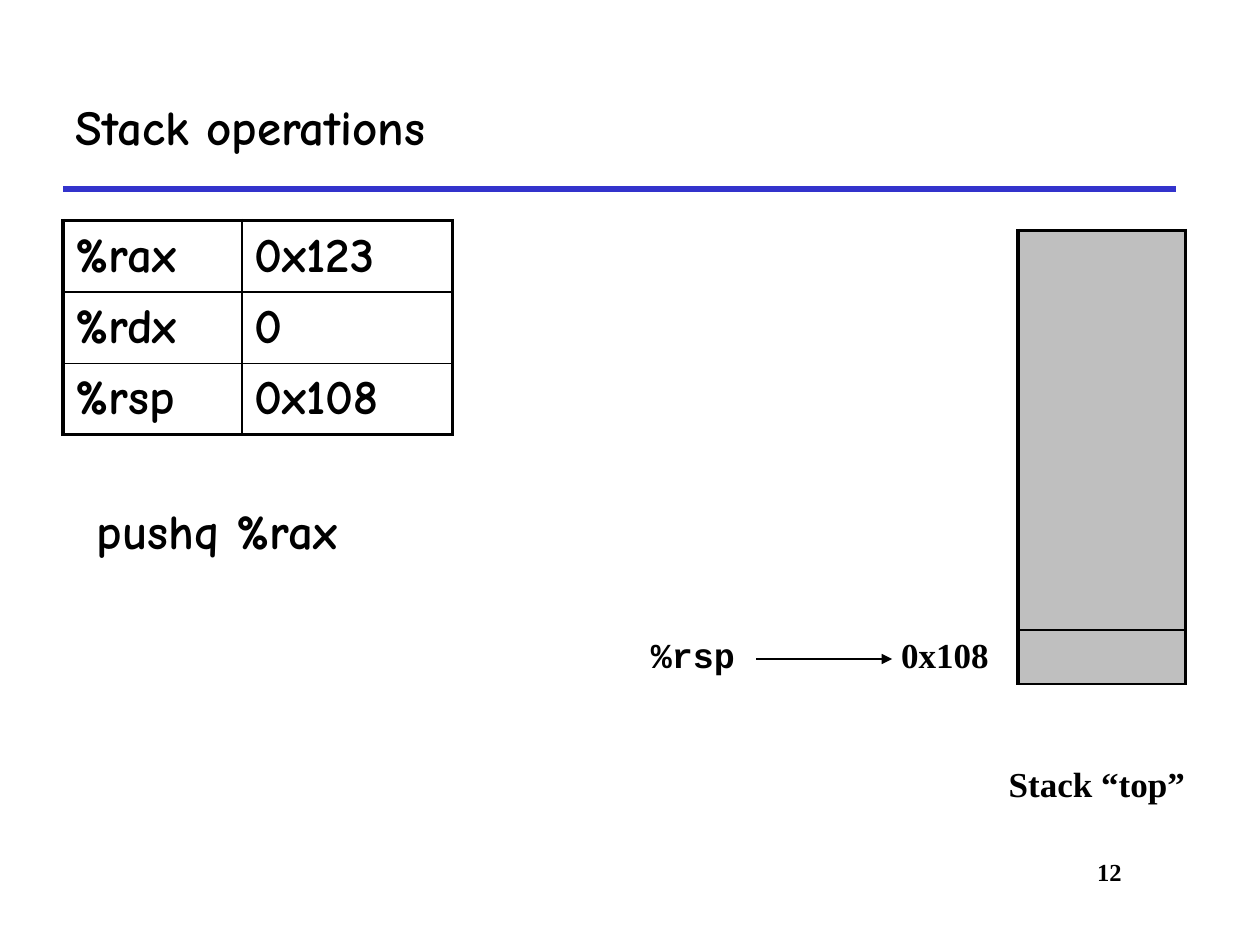
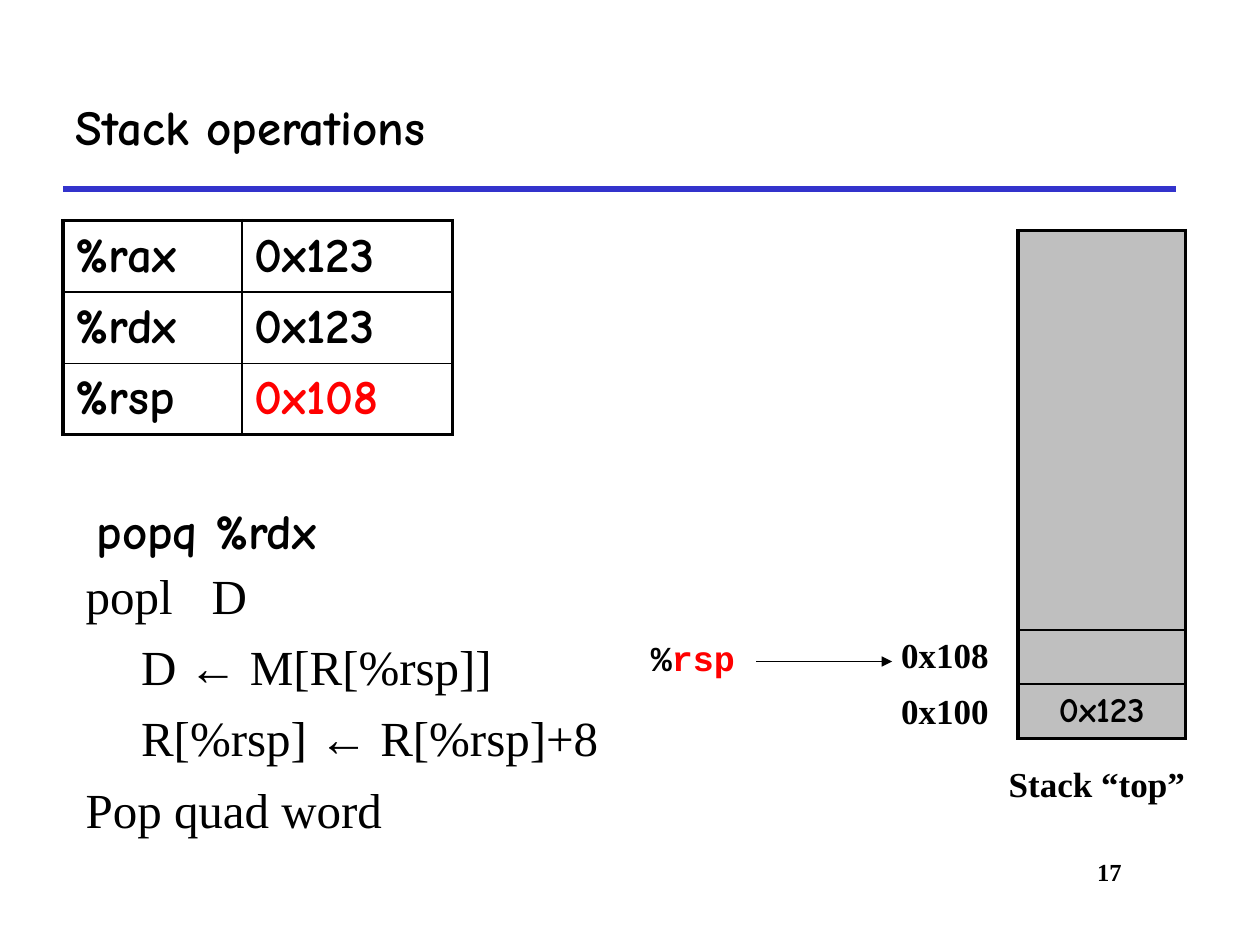
from dataclasses import dataclass

from lxml.etree import SubElement
from pptx import Presentation
from pptx.dml.color import RGBColor
from pptx.enum.shapes import MSO_CONNECTOR, MSO_SHAPE
from pptx.enum.text import MSO_ANCHOR, MSO_AUTO_SIZE, PP_ALIGN
from pptx.oxml.ns import qn
from pptx.util import Inches, Pt


@dataclass(frozen=True)
class Theme:
    ink: str = "000000"
    paper: str = "FFFFFF"
    rule: str = "3333CC"
    hot: str = "FF0000"
    stack: str = "808080"
    hand: str = "Comic Neue"
    serif: str = "Times New Roman"
    mono: str = "Courier New"
    large: int = 28
    label: int = 20
    small: int = 14
    thick: float = 2.25
    thin: float = 1


theme = Theme()


def write(frame, text, face, size, align=PP_ALIGN.LEFT, color=theme.ink, bold=True):
    """Put one styled paragraph into a text frame."""
    para = frame.paragraphs[0]
    para.text = text
    para.alignment = align
    para.space_before = Pt(0)
    font = para.font
    font.name, font.size, font.bold = face, Pt(size), bold
    font.color.rgb = RGBColor.from_string(color)
    return para


def frame_cells(table, foot):
    """Draw a thick frame with thin inner lines; foot is the bottom width."""
    table.first_row = table.horz_banding = False
    rows, cols = len(table.rows), len(table.columns)
    for r in range(rows):
        for c in range(cols):
            cell = table.cell(r, c)
            props = cell._tc.get_or_add_tcPr()
            edges = {
                "L": theme.thick if c == 0 else theme.thin,
                "R": theme.thick if c == cols - 1 else theme.thin,
                "T": theme.thick if r == 0 else theme.thin,
                "B": foot if r == rows - 1 else theme.thin,
            }
            for side, width in edges.items():
                line = SubElement(props, qn("a:ln" + side), w=str(Pt(width)))
                fill = SubElement(line, qn("a:solidFill"))
                SubElement(fill, qn("a:srgbClr"), val=theme.ink)
            cell.vertical_anchor = MSO_ANCHOR.MIDDLE
            cell.fill.background()


deck = Presentation()
deck.slide_width, deck.slide_height = Inches(10), Inches(7.5)

# What differs between the two slides
pages = [
    dict(num="12", code="pushq %rax", rdx="0", hot=theme.ink, steps=[],
         stack=["", ""], foot=theme.thin, y=4.98),
    dict(num="17", code="popq %rdx", rdx="0x123", hot=theme.hot,
         steps=[(0, "popl\tD"), (1, "D ← M[R[%rsp]]"),
                (1, "R[%rsp] ← R[%rsp]+8"), (0, "Pop quad word")],
         stack=["", "", "0x123"], foot=theme.thick, y=5),
]

for page in pages:
    layout = deck.slide_layouts[1 if page["steps"] else 5]
    slide = deck.slides.add_slide(layout)
    shapes = slide.shapes

    # Title
    title = shapes.title
    title.left, title.top = Inches(0.5), Inches(0.5)
    title.width, title.height = Inches(8.83), Inches(1)
    title.text_frame.vertical_anchor = MSO_ANCHOR.MIDDLE
    write(title.text_frame, "Stack operations", theme.hand, theme.large)

    # Steps of the operation
    if page["steps"]:
        body = slide.placeholders[1]
        body.left, body.top = Inches(0.58), Inches(4.44)
        body.width, body.height = Inches(4.58), Inches(2.31)
        frame = body.text_frame
        frame.auto_size = MSO_AUTO_SIZE.NONE
        for i, (level, text) in enumerate(page["steps"]):
            para = frame.paragraphs[0] if i == 0 else frame.add_paragraph()
            para.text, para.level = text, level
            para.space_before = Pt(7 if i else 0)
            props = para._p.get_or_add_pPr()
            props.set("marL", str(Inches(0.44 * level)))
            props.set("indent", "0")
            SubElement(props, qn("a:buNone"))
            if "\t" in text:
                tabs = SubElement(props, qn("a:tabLst"))
                SubElement(tabs, qn("a:tab"), pos=str(Inches(1.37)), algn="l")
            font = para.font
            font.name, font.size = theme.serif, Pt(theme.large)
            font.color.rgb = RGBColor.from_string(theme.ink)

    # Registers
    regs = [("%rax", "0x123"), ("%rdx", page["rdx"]), ("%rsp", "0x108")]
    table = shapes.add_table(3, 2, Inches(0.5), Inches(1.75),
                             Inches(3.08), Inches(1.7)).table
    table.columns[0].width, table.columns[1].width = Inches(1.42), Inches(1.67)
    frame_cells(table, theme.thick)
    for r, (name, value) in enumerate(regs):
        color = page["hot"] if name == "%rsp" else theme.ink
        write(table.cell(r, 0).text_frame, name, theme.hand, theme.large)
        write(table.cell(r, 1).text_frame, value, theme.hand, theme.large, color=color)

    # Stack
    slots = page["stack"]
    table = shapes.add_table(len(slots), 1, Inches(8.08), Inches(1.83), Inches(1.33),
                             Inches(3.17 + 0.43 * (len(slots) - 1))).table
    frame_cells(table, page["foot"])
    for r, value in enumerate(slots):
        table.rows[r].height = Inches(0.43 if r else 3.17)
        cell = table.cell(r, 0)
        cell.fill.solid()
        cell.fill.fore_color.rgb = RGBColor.from_string(theme.stack)
        tint = cell._tc.tcPr.find(qn("a:solidFill"))[0]
        SubElement(tint, qn("a:alpha"), val="50000")
        if value:
            write(cell.text_frame, value, theme.hand, theme.label, PP_ALIGN.CENTER)

    # Stack labels
    labels = [("Stack “top”", 7.83, 6, 1.75), ("0x108", 7, 4.98, 1)]
    if len(slots) > 2:
        labels.append(("0x100", 7, 5.42, 1))
    for text, x, y, w in labels:
        box = shapes.add_shape(MSO_SHAPE.RECTANGLE, Inches(x), Inches(y),
                               Inches(w), Inches(0.44))
        box.shadow.inherit = False
        box.fill.background()
        box.line.color.rgb = RGBColor.from_string(theme.paper)
        box.line.width = Pt(0.75)
        box.text_frame.word_wrap = True
        box.text_frame.vertical_anchor = MSO_ANCHOR.TOP
        write(box.text_frame, text, theme.serif, theme.label, PP_ALIGN.CENTER)

    # Instruction, pointer name and page number
    notes = [
        (page["code"], 0.67, 3.92, 2.37, 0.57, theme.hand, theme.large, PP_ALIGN.LEFT),
        ("%", 5, page["y"], 1, 0.44, theme.mono, theme.label, PP_ALIGN.CENTER),
        (page["num"], 7.58, 6.75, 1.42, 0.5, theme.serif, theme.small, PP_ALIGN.RIGHT),
    ]
    for text, x, y, w, h, face, size, align in notes:
        box = shapes.add_textbox(Inches(x), Inches(y), Inches(w), Inches(h))
        box.text_frame.word_wrap = True
        para = write(box.text_frame, text, face, size, align)
        if text == "%":
            run = para.add_run()
            run.text = "rsp"
            run.font.color.rgb = RGBColor.from_string(page["hot"])

    # Title rule and pointer arrow
    mid = page["y"] + 0.25
    for x, y, end, color, width, head in [
        (0.5, 1.5, 9.33, theme.rule, 3, False),
        (6, mid, 7.08, theme.ink, 0.75, True),
    ]:
        line = shapes.add_connector(MSO_CONNECTOR.STRAIGHT, Inches(x), Inches(y),
                                    Inches(end), Inches(y))
        line.line.color.rgb = RGBColor.from_string(color)
        line.line.width = Pt(width)
        if head:
            SubElement(line.line._get_or_add_ln(), qn("a:tailEnd"), type="triangle")
        SubElement(line._element.spPr, qn("a:effectLst"))

deck.save("out.pptx")
